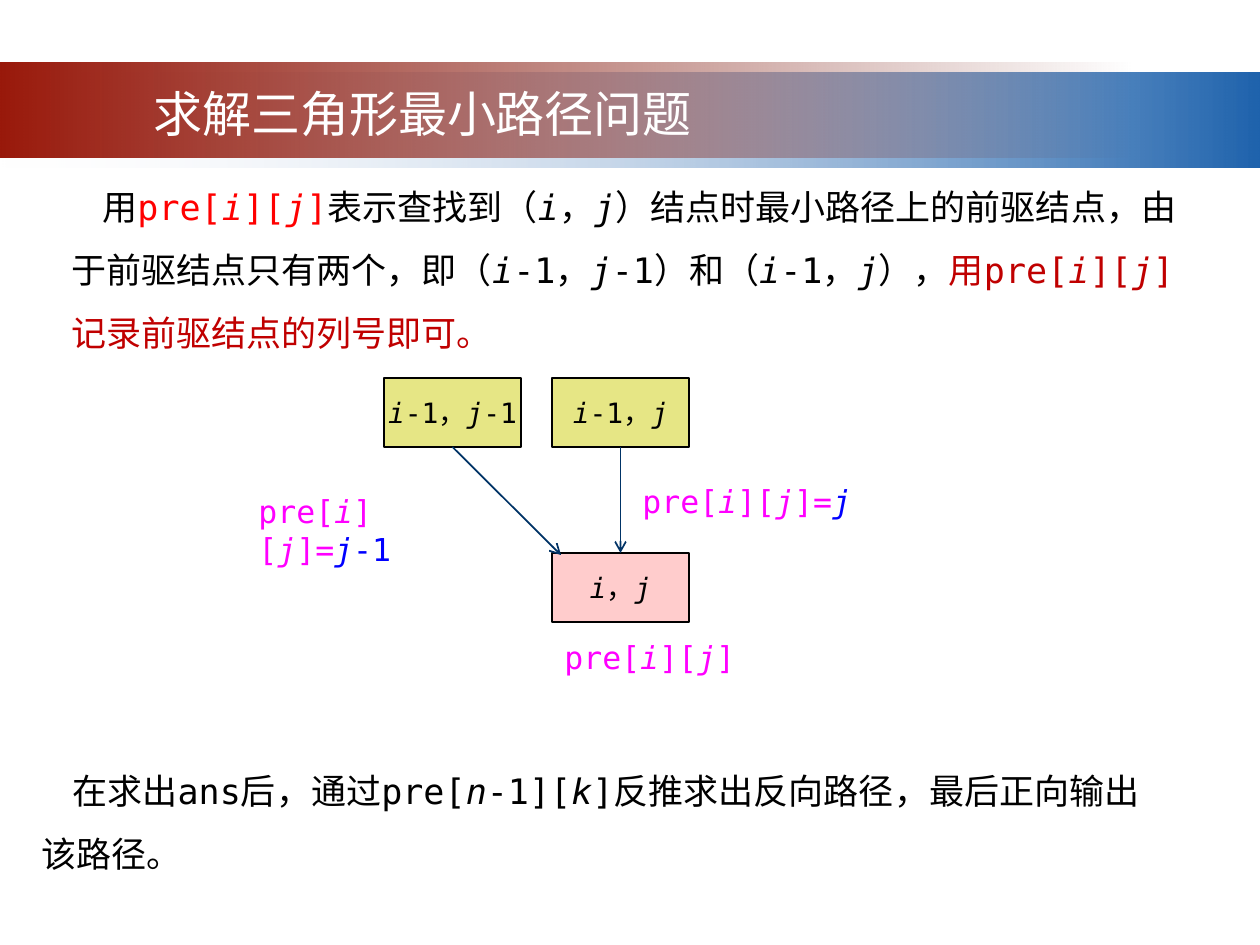
from lxml.etree import SubElement
from pptx import Presentation
from pptx.dml.color import RGBColor
from pptx.enum.shapes import MSO_CONNECTOR, MSO_SHAPE
from pptx.enum.text import MSO_ANCHOR, PP_ALIGN
from pptx.oxml.ns import qn
from pptx.util import Emu, Pt


def px(length):
    return Emu(round(length * 914400 / 126))


def color(code):
    return RGBColor.from_string(code)


def set_alpha(element, percent):
    SubElement(element, qn("a:alpha"), val=str(percent * 1000))


def write(frame, parts, size=16, font="DejaVu Sans Mono", align=PP_ALIGN.LEFT,
          spacing=1.0, indent=0):
    """Fill a frame from (text, colour) parts; text between asterisks is italic."""
    frame.word_wrap = True
    paragraph = frame.paragraphs[0]
    paragraph.alignment = align
    paragraph.line_spacing = spacing
    if indent:
        properties = paragraph._p.get_or_add_pPr()
        properties.set("marL", "0")
        properties.set("indent", str(px(indent)))
    for text, code in parts:
        for index, piece in enumerate(text.split("*")):
            if not piece:
                continue
            run = paragraph.add_run()
            run.text = piece
            run.font.size = Pt(size)
            run.font.italic = index % 2 == 1
            run.font.color.rgb = color(code)
            run.font.name = font
            SubElement(run._r.get_or_add_rPr(), qn("a:ea"), typeface="Noto Sans CJK SC")


class SlideBuilder:
    black, white, red, dark_red = "000000", "FFFFFF", "FF0000", "C00000"
    magenta, blue, navy = "FF00FF", "0000FF", "003366"
    olive, pink = "CCCC00", "FFCCCC"

    def __init__(self, slide):
        self.slide = slide

    def rectangle(self, left, top, width, height):
        shape = self.slide.shapes.add_shape(
            MSO_SHAPE.RECTANGLE, px(left), px(top), px(width), px(height))
        shape.shadow.inherit = False
        return shape

    def band(self, top, width, start, end, clear_stop):
        shape = self.rectangle(0, top, width, 95)
        shape.line.fill.background()
        shape.fill.gradient()
        shape.fill.gradient_angle = 0
        stops = shape.fill.gradient_stops
        for stop, code in zip(stops, (start, end)):
            stop.color.rgb = color(code)
        set_alpha(stops[clear_stop]._gs[0], 0)

    def node(self, left, top, text, fill, opacity=100):
        shape = self.rectangle(left, top, 137, 69)
        shape.fill.solid()
        shape.fill.fore_color.rgb = color(fill)
        if opacity < 100:
            set_alpha(shape.fill._xPr.find(qn("a:solidFill"))[0], opacity)
        shape.line.color.rgb = color(self.black)
        shape.line.width = Pt(1)
        frame = shape.text_frame
        frame.margin_left = frame.margin_right = 0
        frame.vertical_anchor = MSO_ANCHOR.MIDDLE
        write(frame, [(text, self.black)], align=PP_ALIGN.CENTER)
        return shape

    def arrow(self, source, end_x, end_y, target=None):
        connector = self.slide.shapes.add_connector(
            MSO_CONNECTOR.STRAIGHT, 0, 0, px(end_x), px(end_y))
        connector.begin_connect(source, 2)
        if target is not None:
            connector.end_connect(target, 0)
        connector.line.color.rgb = color(self.navy)
        connector.line.width = Pt(1)
        SubElement(connector.line._get_or_add_ln(), qn("a:tailEnd"), type="arrow")
        SubElement(connector._element.spPr, qn("a:effectLst"))

    def text(self, left, top, width, height, parts, **style):
        box = self.slide.shapes.add_textbox(px(left), px(top), px(width), px(height))
        write(box.text_frame, parts, **style)


def main():
    presentation = Presentation()
    presentation.slide_width = px(1260)
    presentation.slide_height = px(945)
    page = SlideBuilder(presentation.slides.add_slide(presentation.slide_layouts[6]))

    page.band(73, 1260, "F1F2F7", "1F63AD", clear_stop=0)
    page.band(63, 1134, "99190B", "6D1208", clear_stop=1)
    page.text(73, 77, 699, 72, [("求解三角形最小路径问题", page.white)],
              size=28, font="Noto Sans CJK SC", align=PP_ALIGN.CENTER)

    body = {"size": 20, "spacing": 1.5, "indent": 31}
    page.text(59, 158, 1142, 197, [
        ("用", page.black),
        ("pre[*i*][*j*]", page.red),
        ("表示查找到（*i*，*j*）结点时最小路径上的前驱结点，由于前驱结点只有两个，"
         "即（*i*-1，*j*-1）和（*i*-1，*j*），", page.black),
        ("用pre[*i*][*j*]记录前驱结点的列号即可。", page.dark_red),
    ], **body)
    page.text(29, 742, 1142, 132, [
        ("在求出ans后，通过pre[*n*-1][*k*]反推求出反向路径，最后正向输出该路径。",
         page.black),
    ], **body)

    current = page.node(552, 553, "*i*，*j*", page.pink)
    above = page.node(552, 378, "*i*-1，*j*", page.olive, opacity=48)
    above_left = page.node(384, 378, "*i*-1，*j*-1", page.olive, opacity=48)
    page.arrow(above, 620, 553, target=current)
    page.arrow(above_left, 561, 555)

    labels = [(552, 632, 204, "", ""), (630, 476, 256, "=", "*j*"),
              (246, 486, 256, "=", "*j*-1")]
    for left, top, width, equals, value in labels:
        page.text(left, top, width, 50,
                  [("pre[*i*][*j*]" + equals, page.magenta), (value, page.blue)], size=18)

    presentation.save("out.pptx")


if __name__ == "__main__":
    main()
